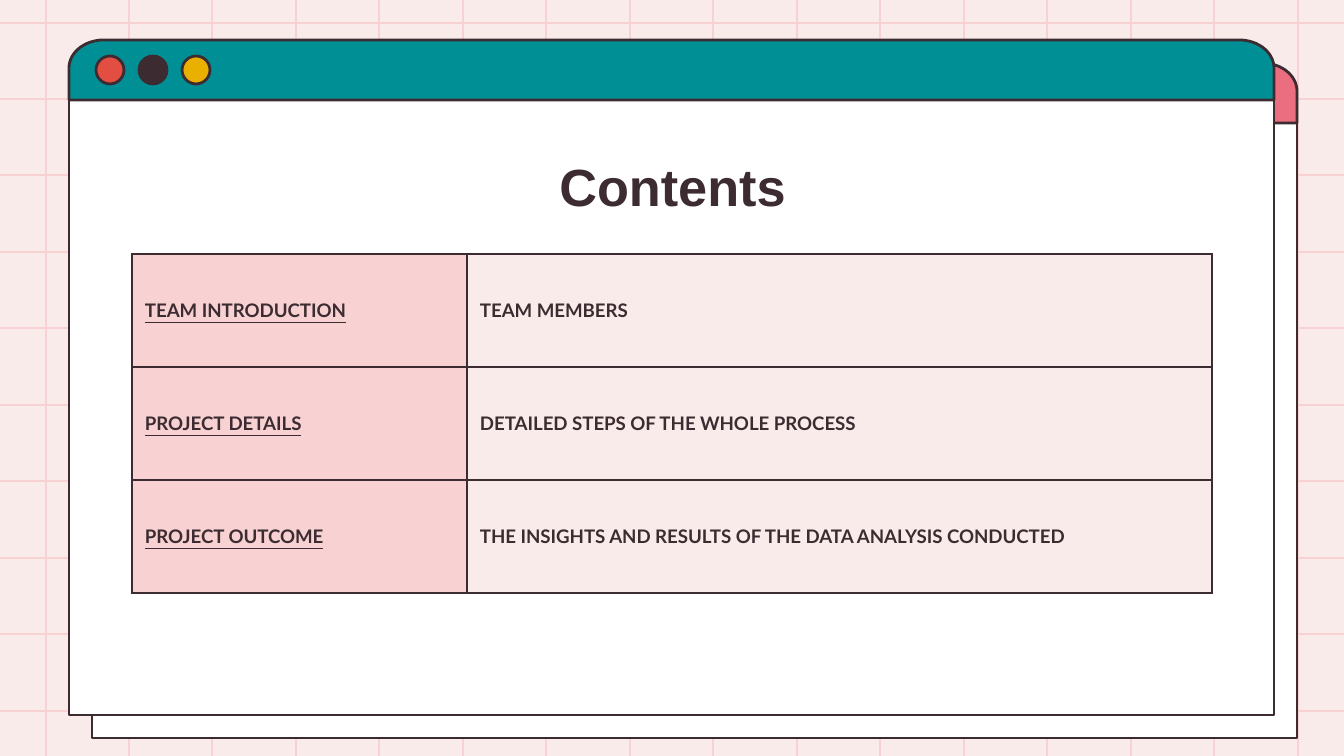
import math
from dataclasses import dataclass

import lxml.etree
import pptx
import pptx.dml.color
import pptx.enum.shapes
import pptx.enum.text
import pptx.oxml.ns
import pptx.util

EMU_PER_PX = 914400 / 134.4
SLIDE_WIDTH, SLIDE_HEIGHT = 1344, 756
OUTLINE_PT = 1.5
COLOURS = {
    "paper": "FAEBEB",
    "pink": "F8D2D2",
    "ink": "3C2C31",
    "white": "FFFFFF",
    "rose": "EB6E80",
    "teal": "008F95",
    "red": "E24E42",
    "yellow": "E9B000",
}


@dataclass(frozen=True)
class Window:
    left: int
    top: int
    bar_colour: str
    width: int = 1205
    bar_height: int = 60
    body_height: int = 615
    corner_width: int = 35
    corner_height: int = 28


@dataclass(frozen=True)
class Section:
    heading: str
    summary: str


WINDOWS = [Window(92, 63, "rose"), Window(69, 40, "teal")]
BUTTONS = ["red", "ink", "yellow"]
SECTIONS = [
    Section("TEAM INTRODUCTION", "TEAM MEMBERS"),
    Section("PROJECT DETAILS", "DETAILED STEPS OF THE WHOLE PROCESS"),
    Section("PROJECT OUTCOME", "THE INSIGHTS AND RESULTS OF THE DATA ANALYSIS CONDUCTED"),
]


def px(length: float) -> int:
    return round(length * EMU_PER_PX)


def rgb(colour: str) -> pptx.dml.color.RGBColor:
    return pptx.dml.color.RGBColor.from_string(COLOURS[colour])


def paint(shape, colour: str) -> None:
    shape.shadow.inherit = False
    shape.fill.solid()
    shape.fill.fore_color.rgb = rgb(colour)
    shape.line.color.rgb = rgb("ink")
    shape.line.width = pptx.util.Pt(OUTLINE_PT)


def draw_grid_line(slide, x1: int, y1: int, x2: int, y2: int) -> None:
    rule = slide.shapes.add_connector(
        pptx.enum.shapes.MSO_CONNECTOR.STRAIGHT, px(x1), px(y1), px(x2), px(y2)
    )
    rule.line.color.rgb = rgb("pink")
    rule.line.width = pptx.util.Pt(OUTLINE_PT)
    lxml.etree.SubElement(rule._element.spPr, pptx.oxml.ns.qn("a:effectLst"))


def draw_grid(slide) -> None:
    for column in range(16):
        x = 46 + 1252 * column // 15
        draw_grid_line(slide, x, 0, x, SLIDE_HEIGHT)
    for row in range(10):
        y = 23 + 688 * row // 9
        draw_grid_line(slide, 0, y, SLIDE_WIDTH, y)


def corner(centre_x: int, centre_y: int, window: Window, start: int) -> list[tuple[int, int]]:
    angles = [math.radians(start - step) for step in range(0, 91, 6)]
    return [
        (
            px(centre_x + window.corner_width * math.cos(angle)),
            px(centre_y - window.corner_height * math.sin(angle)),
        )
        for angle in angles
    ]


def draw_window(slide, window: Window) -> None:
    right = window.left + window.width
    bar_bottom = window.top + window.bar_height
    body = slide.shapes.add_shape(
        pptx.enum.shapes.MSO_SHAPE.RECTANGLE,
        px(window.left), px(bar_bottom), px(window.width), px(window.body_height),
    )
    paint(body, "white")
    arc_y = window.top + window.corner_height
    outline = slide.shapes.build_freeform(px(window.left), px(bar_bottom))
    outline.add_line_segments(
        corner(window.left + window.corner_width, arc_y, window, 180)
        + corner(right - window.corner_width, arc_y, window, 90)
        + [(px(right), px(bar_bottom))],
        close=True,
    )
    paint(outline.convert_to_shape(), window.bar_colour)


def draw_buttons(slide, left: int, top: int, size: int, pitch: int) -> None:
    for index, colour in enumerate(BUTTONS):
        button = slide.shapes.add_shape(
            pptx.enum.shapes.MSO_SHAPE.OVAL,
            px(left + index * pitch), px(top), px(size), px(size),
        )
        paint(button, colour)


def write_title(slide, wording: str) -> None:
    title = slide.shapes.title
    title.left, title.top, title.width, title.height = px(132), px(138), px(1081), px(85)
    frame = title.text_frame
    frame.text = wording
    frame.word_wrap = True
    frame.auto_size = pptx.enum.text.MSO_AUTO_SIZE.NONE
    frame.vertical_anchor = pptx.enum.text.MSO_ANCHOR.BOTTOM
    frame.margin_top, frame.margin_bottom = 0, px(6)
    paragraph = frame.paragraphs[0]
    paragraph.alignment = pptx.enum.text.PP_ALIGN.CENTER
    paragraph.line_spacing = 1.0
    style_font(paragraph.font, "Arial", 28)


def style_font(font, family: str, size: int) -> None:
    font.name = family
    font.size = pptx.util.Pt(size)
    font.bold = True
    font.color.rgb = rgb("ink")


def add_borders(cell) -> None:
    properties = cell._tc.get_or_add_tcPr()
    qn = pptx.oxml.ns.qn
    for index, side in enumerate(("lnL", "lnR", "lnT", "lnB")):
        border = lxml.etree.Element(qn(f"a:{side}"), w=str(pptx.util.Pt(OUTLINE_PT)))
        fill = lxml.etree.SubElement(border, qn("a:solidFill"))
        lxml.etree.SubElement(fill, qn("a:srgbClr"), val=COLOURS["ink"])
        properties.insert(index, border)


def fill_cell(cell, wording: str, colour: str, underlined: bool) -> None:
    cell.fill.solid()
    cell.fill.fore_color.rgb = rgb(colour)
    add_borders(cell)
    cell.vertical_anchor = pptx.enum.text.MSO_ANCHOR.MIDDLE
    cell.margin_left = cell.margin_right = px(13)
    cell.margin_top = cell.margin_bottom = 0
    cell.text = wording
    paragraph = cell.text_frame.paragraphs[0]
    style_font(paragraph.font, "Lato", 10)
    paragraph.font.underline = underlined
    if not underlined:
        paragraph.space_after = pptx.util.Pt(16)


def draw_contents(slide, left: int, top: int, widths: list[int], row_height: int) -> None:
    contents = slide.shapes.add_table(
        len(SECTIONS), len(widths),
        px(left), px(top), px(sum(widths)), px(row_height * len(SECTIONS)),
    ).table
    contents.first_row = contents.horz_banding = False
    for column, width in zip(contents.columns, widths):
        column.width = px(width)
    for index, section in enumerate(SECTIONS):
        contents.rows[index].height = px(row_height)
        fill_cell(contents.cell(index, 0), section.heading, "pink", True)
        fill_cell(contents.cell(index, 1), section.summary, "paper", False)


def main() -> None:
    deck = pptx.Presentation()
    deck.slide_width, deck.slide_height = px(SLIDE_WIDTH), px(SLIDE_HEIGHT)
    slide = deck.slides.add_slide(deck.slide_layouts[5])
    slide.background.fill.solid()
    slide.background.fill.fore_color.rgb = rgb("paper")
    draw_grid(slide)
    for window in WINDOWS:
        draw_window(slide, window)
    draw_buttons(slide, left=96, top=56, size=28, pitch=43)
    write_title(slide, "Contents")
    title_element = slide.shapes.title._element
    title_element.getparent().append(title_element)
    draw_contents(slide, left=132, top=254, widths=[335, 745], row_height=113)
    deck.save("out.pptx")


if __name__ == "__main__":
    main()
